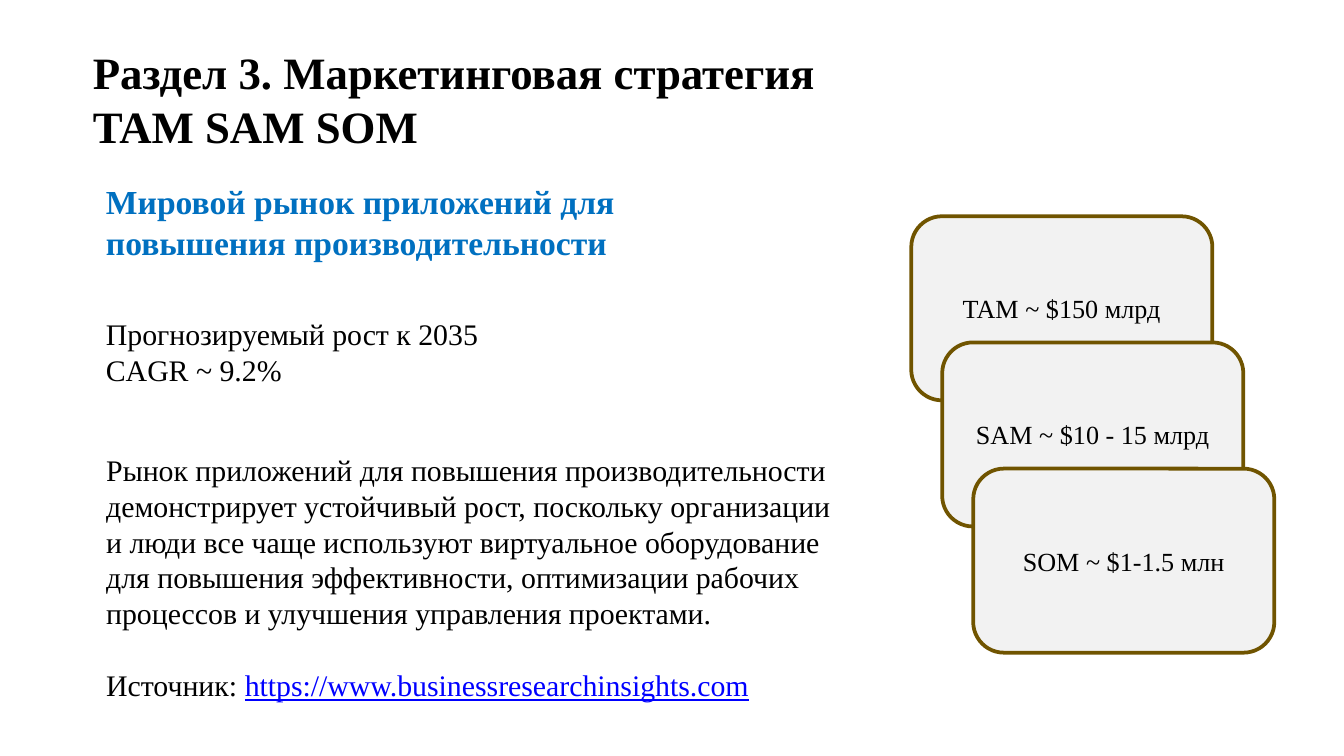
from dataclasses import dataclass

import pptx
import pptx.dml.color
import pptx.enum.shapes
import pptx.enum.text
import pptx.util
from lxml import etree
from pptx.oxml.ns import qn

Pt = pptx.util.Pt
Align = pptx.enum.text.PP_ALIGN
Anchor = pptx.enum.text.MSO_ANCHOR


@dataclass(frozen=True)
class Theme:
    font: str = "Times New Roman"
    text: str = "000000"
    accent: str = "0070C0"
    link: str = "0000FF"
    card: str = "F2F2F2"
    border: str = "705400"
    title_size: int = 24
    heading_size: int = 18
    body_size: int = 16
    card_size: int = 14


THEME = Theme()
LEFT = 49.7
TITLE = ["Раздел 3. Маркетинговая стратегия", "TAM SAM SOM"]
HEADING = "Мировой рынок приложений для повышения производительности"
GROWTH = ["Прогнозируемый рост к 2035", "CAGR ~ 9.2%"]
DESCRIPTION = (
    "Рынок приложений для повышения производительности демонстрирует "
    "устойчивый рост, поскольку организации и люди все чаще используют "
    "виртуальное оборудование для повышения эффективности, оптимизации "
    "рабочих процессов и улучшения управления проектами."
)
SOURCE_LABEL = "Источник: "
SOURCE_URL = "https://www.businessresearchinsights.com"
TIERS = ["TAM ~ $150 млрд", "SAM ~ $10 - 15 млрд", "SOM ~ $1-1.5 млн"]


def rgb(code):
    return pptx.dml.color.RGBColor.from_string(code)


def place(shape, left, top, width, height):
    shape.left, shape.top = Pt(left), Pt(top)
    shape.width, shape.height = Pt(width), Pt(height)


def add_span(para, text, size, color=THEME.text, bold=False, underline=False):
    span = para.add_run()
    span.text = text
    font = span.font
    font.name, font.size = THEME.font, Pt(size)
    font.bold, font.underline = bold, underline
    font.color.rgb = rgb(color)


def add_para(frame, first, align=Align.LEFT, gap=0):
    para = frame.paragraphs[0] if first else frame.add_paragraph()
    para.alignment = align
    para.space_before = Pt(gap)
    return para


def write_lines(frame, lines, size, **style):
    for index, line in enumerate(lines):
        add_span(add_para(frame, index == 0), line, size, **style)


def prepare_frame(shape):
    frame = shape.text_frame
    frame.word_wrap = True
    frame.auto_size = pptx.enum.text.MSO_AUTO_SIZE.NONE
    frame.vertical_anchor = Anchor.TOP
    return frame


def remove_bullet(para):
    properties = para._p.get_or_add_pPr()
    properties.set("marL", "0")
    properties.set("indent", "0")
    etree.SubElement(properties, qn("a:buNone"))


def fill_title(title):
    place(title, LEFT, 23.8, 390, 58.3)
    frame = prepare_frame(title)
    frame.margin_left = frame.margin_right = 0
    frame.margin_top = frame.margin_bottom = 0
    write_lines(frame, TITLE, THEME.title_size, bold=True)


def fill_description(body):
    place(body, LEFT, 238.3, 411, 143.3)
    frame = prepare_frame(body)
    description = add_para(frame, True)
    source = add_para(frame, False, gap=19.2)
    for para in (description, source):
        remove_bullet(para)
    add_span(description, DESCRIPTION, THEME.body_size)
    add_span(source, SOURCE_LABEL, THEME.body_size)
    add_span(source, SOURCE_URL, THEME.body_size, THEME.link, underline=True)


def add_text(slide, top, width, height, lines, size, **style):
    box = slide.shapes.add_textbox(Pt(LEFT), Pt(top), Pt(width), Pt(height))
    write_lines(prepare_frame(box), lines, size, **style)


def add_tier(slide, index, label):
    card = slide.shapes.add_shape(
        pptx.enum.shapes.MSO_SHAPE.ROUNDED_RECTANGLE,
        Pt(488.2 + 16.6 * index), Pt(115.9 + 67.6 * index), Pt(161.3), Pt(98.6))
    card.shadow.inherit = False
    card.fill.solid()
    card.fill.fore_color.rgb = rgb(THEME.card)
    card.line.color.rgb = rgb(THEME.border)
    card.line.width = Pt(2)
    frame = prepare_frame(card)
    frame.vertical_anchor = Anchor.MIDDLE
    add_span(add_para(frame, True, Align.CENTER), label, THEME.card_size)


def main():
    deck = pptx.Presentation()
    deck.slide_width, deck.slide_height = Pt(720), Pt(405)
    slide = deck.slides.add_slide(deck.slide_layouts[1])
    fill_title(slide.shapes.title)
    fill_description(slide.placeholders[1])
    add_text(slide, 93.6, 322.6, 51, [HEADING], THEME.heading_size,
             color=THEME.accent, bold=True)
    add_text(slide, 165.6, 213.8, 46, GROWTH, THEME.body_size)
    for index, label in enumerate(TIERS):
        add_tier(slide, index, label)
    deck.save("out.pptx")


if __name__ == "__main__":
    main()
